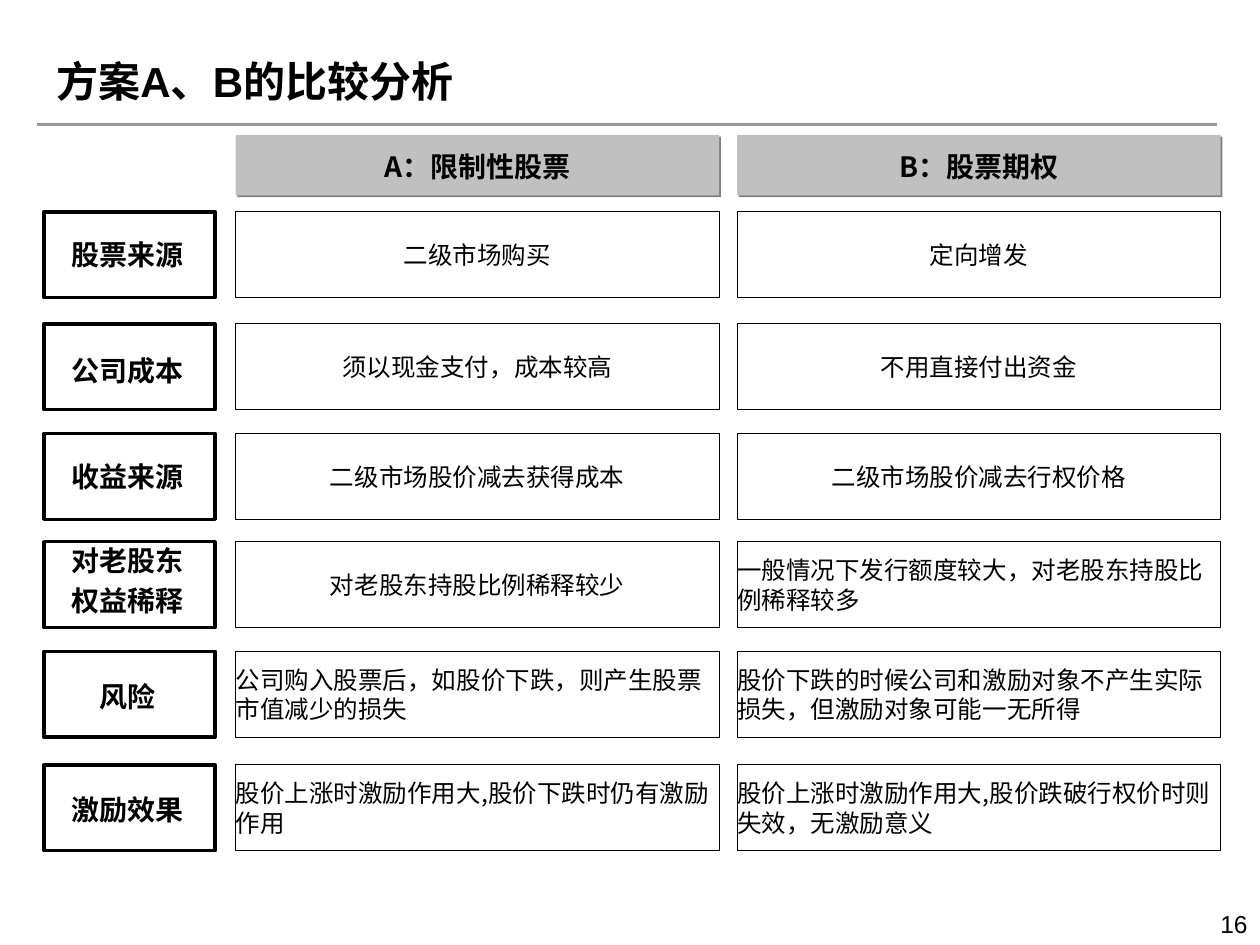
import pptx
import pptx.dml.color
import pptx.enum.shapes
import pptx.enum.text
import pptx.oxml.ns
import pptx.util
from lxml import etree
from pptx.util import Cm

CJK_FONT = "Noto Sans CJK SC"
LATIN_FONT = "Arial"
BLACK, GREY, RULE_GREY, SHADOW_GREY = "000000", "C0C0C0", "969696", "808080"
ALIGN = pptx.enum.text.PP_ALIGN
SHAPES = pptx.enum.shapes.MSO_SHAPE


def colour(value):
    return pptx.dml.color.RGBColor.from_string(value)


def add_element(parent, tag, **attributes):
    return etree.SubElement(parent, pptx.oxml.ns.qn(tag), attributes)


class SlideBuilder:
    def __init__(self, page):
        self.page = page

    def fill_text(self, shape, text, size, bold=False, align=ALIGN.CENTER,
                  font=CJK_FONT, gap=0, margins=(0, 0), middle=True):
        frame = shape.text_frame
        frame.word_wrap = True
        frame.margin_left = frame.margin_right = Cm(margins[0])
        frame.margin_top = frame.margin_bottom = Cm(margins[1])
        anchor = pptx.enum.text.MSO_ANCHOR
        frame.vertical_anchor = anchor.MIDDLE if middle else anchor.TOP
        frame.text = text
        for index, paragraph in enumerate(frame.paragraphs):
            paragraph.alignment = align
            if index:
                paragraph.space_before = pptx.util.Pt(gap)
            paragraph.font.size = pptx.util.Pt(size)
            paragraph.font.bold = bold
            paragraph.font.name = font
            paragraph.font.color.rgb = colour(BLACK)
            # East Asian glyphs need their own typeface entry
            defaults = paragraph._p.pPr.find(pptx.oxml.ns.qn("a:defRPr"))
            add_element(defaults, "a:ea", typeface=CJK_FONT)

    def box(self, left, top, width, height, fill=None, line=None):
        shape = self.page.shapes.add_shape(
            SHAPES.RECTANGLE, Cm(left), Cm(top), Cm(width), Cm(height))
        shape.shadow.inherit = False
        if fill:
            shape.fill.solid()
            shape.fill.fore_color.rgb = colour(fill)
        else:
            shape.fill.background()
        if line:
            shape.line.color.rgb = colour(BLACK)
            shape.line.width = pptx.util.Pt(line)
        else:
            shape.line.fill.background()
        return shape

    def text(self, left, top, width, height, text, size, **style):
        shape = self.page.shapes.add_textbox(
            Cm(left), Cm(top), Cm(width), Cm(height))
        self.fill_text(shape, text, size, **style)

    def drop_shadow(self, shape):
        effects = shape._element.spPr.find(pptx.oxml.ns.qn("a:effectLst"))
        shadow = add_element(effects, "a:outerShdw", dist="17780",
                             dir="2700000", algn="ctr", rotWithShape="0")
        add_element(shadow, "a:srgbClr", val=SHADOW_GREY)

    def rule(self, left, right, top):
        line = self.page.shapes.add_connector(
            pptx.enum.shapes.MSO_CONNECTOR.STRAIGHT,
            Cm(left), Cm(top), Cm(right), Cm(top))
        line.line.color.rgb = colour(RULE_GREY)
        line.line.width = pptx.util.Pt(2.25)
        add_element(line._element.spPr, "a:effectLst")


LABEL_LEFT, LABEL_WIDTH = 0.89, 3.45
COLUMN_LEFTS, COLUMN_WIDTH = (4.75, 14.86), 9.75
ROW_HEIGHT = 1.73
HEADERS = ("A：限制性股票", "B：股票期权")

# Row top, label centre, label, then the cell of each plan
ROWS = [
    (4.27, 5.12, "股票来源", "二级市场购买", "定向增发"),
    (6.53, 7.46, "公司成本", "须以现金支付，成本较高", "不用直接付出资金"),
    (8.74, 9.61, "收益来源", "二级市场股价减去获得成本", "二级市场股价减去行权价格"),
    (10.92, 11.7, "对老股东\n权益稀释", "对老股东持股比例稀释较少",
     "一般情况下发行额度较大，对老股东持股比例稀释较多"),
    (13.13, 14.03, "风险", "公司购入股票后，如股价下跌，则产生股票市值减少的损失",
     "股价下跌的时候公司和激励对象不产生实际损失，但激励对象可能一无所得"),
    (15.42, 16.32, "激励效果", "股价上涨时激励作用大,股价下跌时仍有激励作用",
     "股价上涨时激励作用大,股价跌破行权价时则失效，无激励意义"),
]
LONGEST_CENTRED = 15


def main():
    deck = pptx.Presentation()
    deck.slide_width, deck.slide_height = Cm(25.4), Cm(19.05)
    builder = SlideBuilder(deck.slides.add_slide(deck.slide_layouts[6]))

    # Page number, rule and title
    builder.text(19.48, 18.19, 5.92, 1.32, "16", 14, font=LATIN_FONT,
                 align=ALIGN.RIGHT, margins=(0.25, 0.13), middle=False)
    builder.rule(0.74, 24.54, 2.51)
    builder.text(0.89, 0.76, 20.32, 1.75, "方案A、B的比较分析", 24, bold=True,
                 font=LATIN_FONT, align=ALIGN.LEFT, margins=(0.25, 0.13))

    # Column headers
    for left, header in zip(COLUMN_LEFTS, HEADERS):
        builder.drop_shadow(
            builder.box(left, 2.72, COLUMN_WIDTH, 1.22, fill=GREY))
        caption = builder.box(left + 0.71, 3, 8.33, 0.69, fill=GREY)
        builder.fill_text(caption, header, 16, bold=True)

    # Row labels and cells
    for top, centre, label, *cells in ROWS:
        builder.box(LABEL_LEFT, top, LABEL_WIDTH, ROW_HEIGHT, line=2)
        height = 1.5 if "\n" in label else 0.69
        builder.text(1.12, centre - height / 2, 2.9, height, label, 16,
                     bold=True, gap=4)
        for left, cell in zip(COLUMN_LEFTS, cells):
            shape = builder.box(left, top, COLUMN_WIDTH, ROW_HEIGHT, line=0.5)
            centred = len(cell) <= LONGEST_CENTRED
            builder.fill_text(shape, cell, 14,
                              align=ALIGN.CENTER if centred else ALIGN.LEFT)

    deck.save("out.pptx")


if __name__ == "__main__":
    main()
